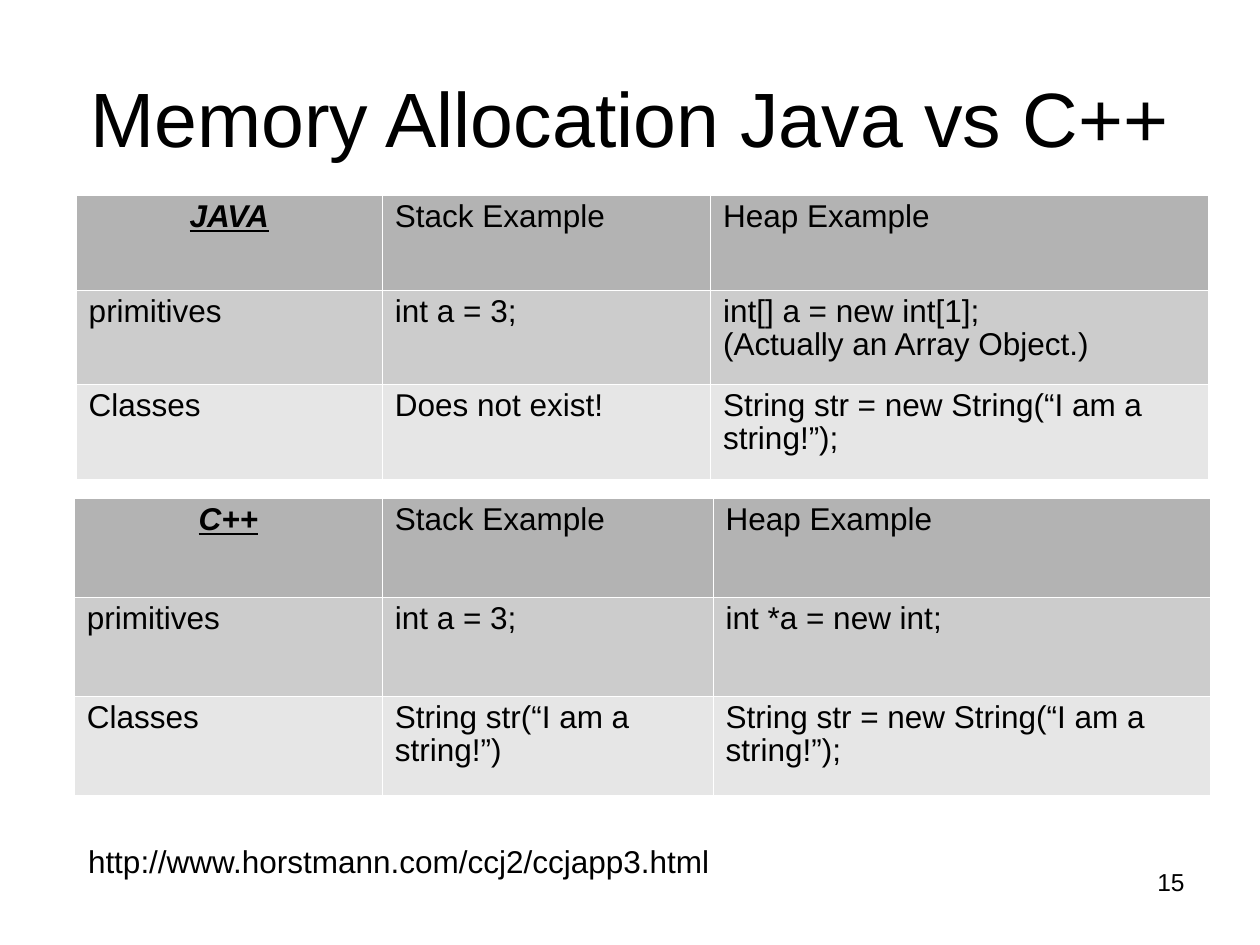
from dataclasses import dataclass

from lxml import etree
from pptx import Presentation
from pptx.dml.color import RGBColor
from pptx.enum import text
from pptx.oxml import ns
from pptx.util import Pt


@dataclass(frozen=True)
class Theme:
    font: str = "Arial"
    ink: str = "000000"
    border: str = "FFFFFF"
    row_fills: tuple = ("B3B3B3", "CCCCCC", "E6E6E6")
    title_size: float = 44
    body_size: float = 18
    number_size: float = 14
    border_width: float = 0.06
    inset_x: float = 7.2
    inset_y: float = 3.6


THEME = Theme()
ALIGN = text.PP_ALIGN
ANCHOR = text.MSO_ANCHOR

JAVA_ROWS = [
    ["JAVA", "Stack Example", "Heap Example"],
    ["primitives", "int a = 3;", "int[] a = new int[1];\n(Actually an Array Object.)"],
    ["Classes", "Does not exist!", "String str = new String(“I am a string!”);"],
]
CPP_ROWS = [
    ["C++", "Stack Example", "Heap Example"],
    ["primitives", "int a = 3;", "int *a = new int;"],
    ["Classes", "String str(“I am a string!”)", "String str = new String(“I am a string!”);"],
]


def write(tf, content, size=THEME.body_size, align=ALIGN.LEFT, spacing=None, emphasis=False):
    """Write one paragraph for each line; emphasis is bold, italic and underlined."""
    for i, line in enumerate(content.split("\n")):
        p = tf.paragraphs[0] if i == 0 else tf.add_paragraph()
        p.alignment = align
        p.line_spacing = spacing
        r = p.add_run()
        r.text = line
        r.font.name = THEME.font
        r.font.size = Pt(size)
        r.font.color.rgb = RGBColor.from_string(THEME.ink)
        r.font.bold = r.font.italic = r.font.underline = emphasis


def set_frame(tf, inset_x, inset_y, anchor):
    tf.word_wrap = True
    tf.auto_size = text.MSO_AUTO_SIZE.NONE
    tf.margin_left = tf.margin_right = Pt(inset_x)
    tf.margin_top = tf.margin_bottom = Pt(inset_y)
    tf.vertical_anchor = anchor


def add_title(s, box, content):
    sp = s.shapes.title
    sp.left, sp.top, sp.width, sp.height = map(Pt, box)
    set_frame(sp.text_frame, 0, 0, ANCHOR.MIDDLE)
    write(sp.text_frame, content, size=THEME.title_size, align=ALIGN.CENTER)


def add_label(s, box, content, **fmt):
    sp = s.shapes.add_textbox(*map(Pt, box))
    set_frame(sp.text_frame, THEME.inset_x, THEME.inset_y, ANCHOR.TOP)
    write(sp.text_frame, content, **fmt)


def add_borders(cell):
    tc_pr = cell._tc.get_or_add_tcPr()
    for side in ("lnL", "lnR", "lnT", "lnB"):
        ln = etree.SubElement(tc_pr, ns.qn(f"a:{side}"), w=str(Pt(THEME.border_width)))
        fill = etree.SubElement(ln, ns.qn("a:solidFill"))
        etree.SubElement(fill, ns.qn("a:srgbClr"), val=THEME.border)


def add_language_table(s, box, col_widths, rows):
    """Place a memory table whose top left cell names the language."""
    table = s.shapes.add_table(len(rows), len(col_widths), *map(Pt, box)).table
    for column, width in zip(table.columns, col_widths):
        column.width = Pt(width)
    for i, row in enumerate(rows):
        table.rows[i].height = Pt(box[3] / len(rows))
        for j, content in enumerate(row):
            cell = table.cell(i, j)
            add_borders(cell)
            cell.fill.solid()
            cell.fill.fore_color.rgb = RGBColor.from_string(THEME.row_fills[i])
            cell.margin_left = cell.margin_right = Pt(THEME.inset_x)
            cell.margin_top = cell.margin_bottom = Pt(THEME.inset_y)
            is_language = i == j == 0
            write(cell.text_frame, content, spacing=0.93, emphasis=is_language,
                  align=ALIGN.CENTER if is_language else ALIGN.LEFT)


def main():
    prs = Presentation()
    prs.slide_width, prs.slide_height = Pt(720), Pt(540)
    s = prs.slides.add_slide(prs.slide_layouts[5])
    add_label(s, (516, 492, 168, 37.5), "15", size=THEME.number_size, align=ALIGN.RIGHT)
    add_title(s, (36, 21.6, 648, 90), "Memory Allocation Java vs C++")
    add_language_table(s, (43.5, 111.6, 647, 162), (175, 187.5, 284.5), JAVA_ROWS)
    add_language_table(s, (42.5, 284.4, 649, 170), (176, 189, 284), CPP_ROWS)
    add_label(s, (43.2, 477.4, 440.6, 33.8), "http://www.horstmann.com/ccj2/ccjapp3.html")
    prs.save("out.pptx")


if __name__ == "__main__":
    main()
